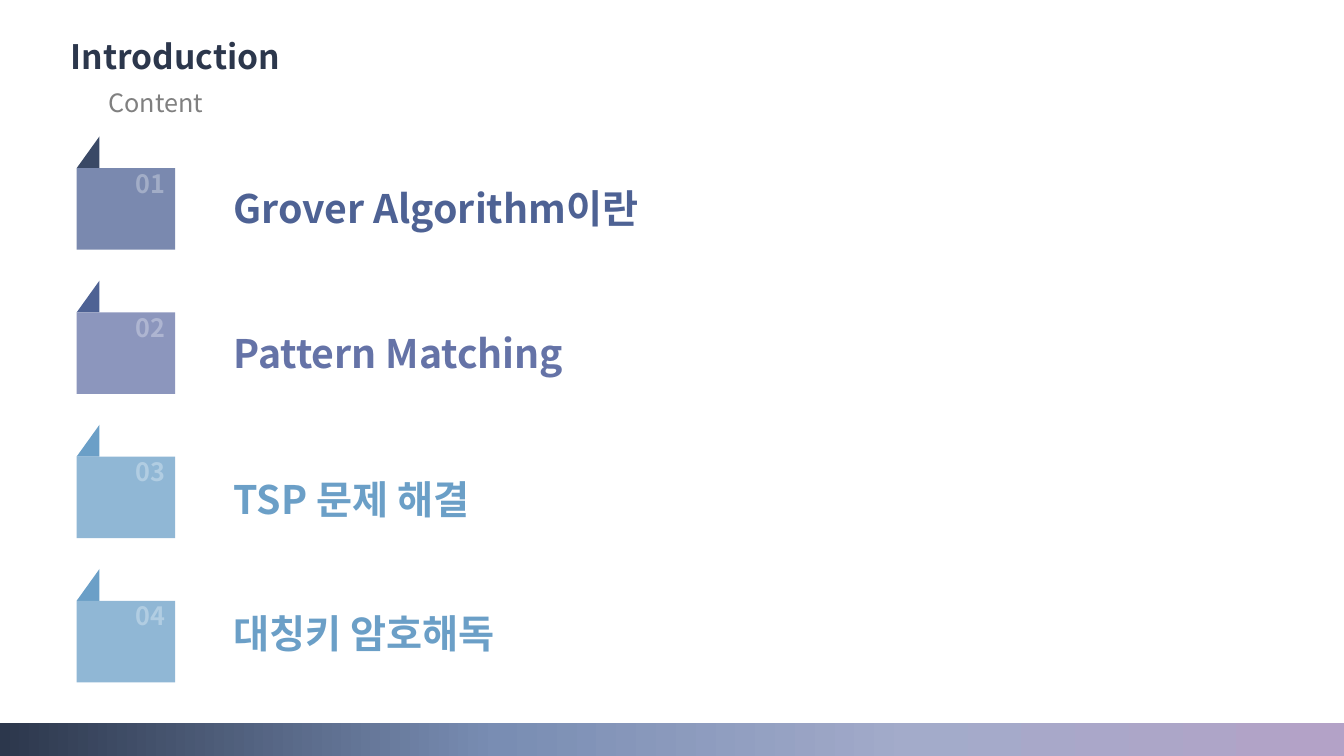
"""Build the Introduction contents slide."""
import pptx
import pptx.dml.color
import pptx.enum.shapes
import pptx.enum.text
import pptx.oxml
import pptx.oxml.ns
import pptx.util

Pt = pptx.util.Pt
SHAPES = pptx.enum.shapes.MSO_SHAPE
ALIGN = pptx.enum.text.PP_ALIGN
ANCHOR = pptx.enum.text.MSO_ANCHOR

FONT = "Noto Sans CJK KR"
SLIDE_SIZE = (960, 540)
FOOTER = (0, 516.2, 960, 23.8)
FOOTER_STOPS = [(0, "2C374C"), (37, "798DB3"), (68, "A3ABCA"), (100, "B3A2C7")]
TITLE = ("Introduction", (1.4, 22.3, 247.7, 36))
SUBTITLE = ("Content", (62.6, 59, 97.2, 28.8))
TOPICS = [
    ("Grover Algorithm이란", 128.2, 581, "4E6294", "3A4966", "7A89AF", "A2ADC7"),
    ("Pattern Matching", 231.8, 495, "6573A7", "4E6294", "8C96BD", "AEB5D1"),
    ("TSP 문제 해결", 335.5, 384.5, "6B9FC7", "6B9FC7", "90B7D5", "B1CDE2"),
    ("대칭키 암호해독", 431.3, 384.5, "6B9FC7", "6B9FC7", "90B7D5", "B1CDE2"),
]
TOPIC_LEFT, TOPIC_HEIGHT = 159.8, 41
CARD_LEFT, CARD_TOP, CARD_PITCH = 54.8, 97.4, 103
FOLD_WIDTH, FOLD_HEIGHT = 16.3, 22.7
CARD_WIDTH, CARD_HEIGHT = 70.3, 58.3


def color(value):
    return pptx.dml.color.RGBColor.from_string(value)


def write(shape, text, size, shade, bold=False, align=ALIGN.LEFT, anchor=ANCHOR.MIDDLE):
    frame = shape.text_frame
    frame.word_wrap = True
    frame.auto_size = pptx.enum.text.MSO_AUTO_SIZE.NONE
    frame.vertical_anchor = anchor
    frame.margin_left = frame.margin_right = Pt(7.2)
    frame.margin_top = frame.margin_bottom = Pt(3.6)
    para = frame.paragraphs[0]
    para.alignment = align
    span = para.add_run()
    span.text = text
    span.font.name = FONT
    span.font.size = Pt(size)
    span.font.bold = bold
    span.font.color.rgb = color(shade)
    east_asian = pptx.oxml.parse_xml(
        f'<a:ea {pptx.oxml.ns.nsdecls("a")} typeface="{FONT}"/>')
    span.font._element.find(pptx.oxml.ns.qn("a:latin")).addnext(east_asian)


def add_block(shapes, kind, place, fill=None):
    block = shapes.add_shape(kind, *map(Pt, place))
    block.shadow.inherit = False
    block.line.fill.background()
    if fill:
        block.fill.solid()
        block.fill.fore_color.rgb = color(fill)
    return block


def add_label(page, place, *args, **options):
    write(page.shapes.add_textbox(*map(Pt, place)), *args, **options)


def add_footer(page):
    band = add_block(page.shapes, SHAPES.RECTANGLE, FOOTER)
    band.fill.gradient()
    band.fill.gradient_angle = 0
    stops = "".join(
        f'<a:gs pos="{position * 1000}"><a:srgbClr val="{shade}"/></a:gs>'
        for position, shade in FOOTER_STOPS)
    stop_list = pptx.oxml.parse_xml(
        f'<a:gsLst {pptx.oxml.ns.nsdecls("a")}>{stops}</a:gsLst>')
    old_list = band.element.spPr.find(".//" + pptx.oxml.ns.qn("a:gsLst"))
    old_list.getparent().replace(old_list, stop_list)


def add_card(page, index, fold_fill, card_fill, number_shade):
    top = CARD_TOP + index * CARD_PITCH
    group = page.shapes.add_group_shape()
    fold = add_block(group.shapes, SHAPES.RIGHT_TRIANGLE,
                     (CARD_LEFT, top, FOLD_WIDTH, FOLD_HEIGHT), fold_fill)
    fold.element.spPr.xfrm.set("flipH", "1")
    card = add_block(group.shapes, SHAPES.RECTANGLE,
                     (CARD_LEFT, top + FOLD_HEIGHT, CARD_WIDTH, CARD_HEIGHT), card_fill)
    write(card, f"{index + 1:02d}", 18, number_shade, bold=True,
          align=ALIGN.RIGHT, anchor=ANCHOR.TOP)
    card.text_frame.margin_top = 0


def main():
    deck = pptx.Presentation()
    deck.slide_width, deck.slide_height = map(Pt, SLIDE_SIZE)
    page = deck.slides.add_slide(deck.slide_layouts[5])
    add_footer(page)
    text, place = TITLE
    title = page.shapes.title
    title.left, title.top, title.width, title.height = map(Pt, place)
    write(title, text, 24, "2C374C", bold=True, align=ALIGN.CENTER)
    text, place = SUBTITLE
    add_label(page, place, text, 18, "808080", align=ALIGN.CENTER)
    for index, (text, top, width, shade, *card_shades) in enumerate(TOPICS):
        add_card(page, index, *card_shades)
        add_label(page, (TOPIC_LEFT, top, width, TOPIC_HEIGHT), text, 28, shade, bold=True)
    deck.save("out.pptx")


if __name__ == "__main__":
    main()
